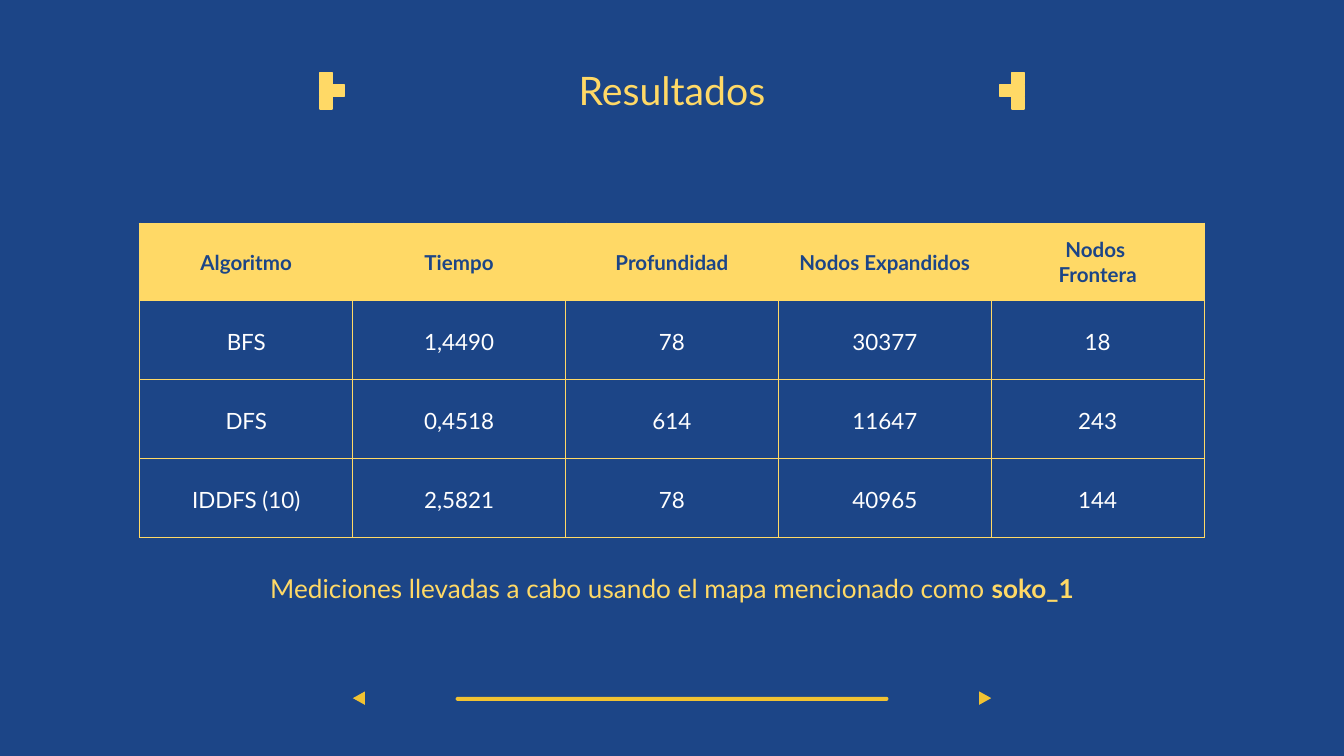
from dataclasses import dataclass

from lxml.etree import SubElement
from pptx import Presentation
from pptx.dml.color import RGBColor
from pptx.enum.shapes import MSO_SHAPE
from pptx.enum.text import MSO_ANCHOR, PP_ALIGN
from pptx.oxml.ns import qn
from pptx.util import Inches, Pt


@dataclass(frozen=True)
class Theme:
    font: str = "Lato"
    blue: str = "1C4587"
    gold: str = "FFD966"
    amber: str = "F1C232"
    white: str = "FFFFFF"
    title: int = 21
    note: int = 14
    head: int = 11
    body: int = 12
    thin: float = 0.75
    thick: float = 1.5


THEME = Theme()
WIDE = 10
HIGH = WIDE * 9 / 16
LEFT, SPAN = 10.4, 79.2
HEAD = ["Algoritmo", "Tiempo", "Profundidad", "Nodos Expandidos", "Nodos \nFrontera"]
ROWS = [
    ["BFS", "1,4490", "78", "30377", "18"],
    ["DFS", "0,4518", "614", "11647", "243"],
    ["IDDFS (10)", "2,5821", "78", "40965", "144"],
]


def share(part):
    return Inches(WIDE * part / 100)


def place(left, top, width, height):
    return [share(part) for part in (left, top, width, height)]


def paint(fill, color):
    fill.solid()
    fill.fore_color.rgb = RGBColor.from_string(color)


def write(frame, text, size, color, bold=False, tail="", space=None, after=None):
    for row, line in enumerate(text.split("\n")):
        para = frame.add_paragraph() if row else frame.paragraphs[0]
        para.alignment = PP_ALIGN.CENTER
        para.line_spacing = space
        para.space_after = after
        parts = [(line, bold), (tail, True)] if tail else [(line, bold)]
        for words, strong in parts:
            run = para.add_run()
            run.text = words
            run.font.name = THEME.font
            run.font.size = Pt(size)
            run.font.bold = strong
            run.font.color.rgb = RGBColor.from_string(color)


def inset(box, across, down, anchor):
    box.margin_left = box.margin_right = Inches(across)
    box.margin_top = box.margin_bottom = Inches(down)
    box.vertical_anchor = anchor


def border(cell, sides):
    props = cell._tc.get_or_add_tcPr()
    for side, width in sides.items():
        line = SubElement(props, qn(f"a:ln{side}"), w=str(Pt(width)))
        fill = SubElement(line, qn("a:solidFill"))
        SubElement(fill, qn("a:srgbClr"), val=THEME.gold)


def add_title(slide):
    title = slide.shapes.title
    title.left, title.top, title.width, title.height = place(3.4, 3.2, 93.2, 6.25)
    frame = title.text_frame
    frame.word_wrap = True
    inset(frame, 0.1, 0.1, MSO_ANCHOR.BOTTOM)
    write(frame, "Resultados", THEME.title, THEME.gold)


def add_grid(slide):
    count = len(HEAD)
    area = place(LEFT, 16.65, SPAN, 23.3)
    table = slide.shapes.add_table(len(ROWS) + 1, count, *area).table
    table.horz_banding = False
    table.first_row = False
    for col in table.columns:
        col.width = share(SPAN / count)
    for num, row in enumerate(table.rows):
        row.height = share(5.88 if num else 5.65)
    for num, texts in enumerate([HEAD] + ROWS):
        for col, text in enumerate(texts):
            cell = table.cell(num, col)
            edge = THEME.thin if num else THEME.thick
            top = THEME.thin if num == 1 else edge
            border(cell, {"L": edge, "R": edge, "T": top, "B": THEME.thin})
            if num:
                inset(cell, 0.03, 0.02, MSO_ANCHOR.MIDDLE)
                write(cell.text_frame, text, THEME.body, THEME.white, space=1.15)
                cell.fill.background()
            else:
                inset(cell, 0.1, 0.1, MSO_ANCHOR.MIDDLE)
                write(cell.text_frame, text, THEME.head, THEME.blue, bold=True)
                paint(cell.fill, THEME.gold)


def add_shape(slide, kind, area, turn):
    shape = slide.shapes.add_shape(kind, *place(*area))
    shape.rotation = turn
    shape.shadow.inherit = False
    shape.adjustments[0] = 0.5
    paint(shape.fill, THEME.amber)
    shape.line.fill.background()


def add_mark(slide, left, step):
    size = 0.9
    group = slide.shapes.add_group_shape()
    for col, row in [(0, 0), (0, 1), (0, 2), (1, 1)]:
        x, y = left + step * col * size, 5.4 + row * size
        pen = group.shapes.build_freeform(share(x), share(y))
        corners = [(x + size, y), (x + size, y + size), (x, y + size)]
        pen.add_line_segments([(share(a), share(b)) for a, b in corners])
        tile = pen.convert_to_shape()
        tile.shadow.inherit = False
        paint(tile.fill, THEME.gold)
        paint(tile.line.fill, THEME.gold)
        tile.line.width = Pt(THEME.thin)


def add_note(slide):
    frame = slide.shapes.add_textbox(*place(LEFT, 41.25, SPAN, 4.2)).text_frame
    frame.word_wrap = True
    inset(frame, 0.1, 0.1, MSO_ANCHOR.TOP)
    text = "Mediciones llevadas a cabo usando el mapa mencionado como"
    write(frame, text, THEME.note, THEME.gold, tail=" soko_1", space=1.15, after=Pt(16))


def main():
    deck = Presentation()
    deck.slide_width, deck.slide_height = Inches(WIDE), Inches(HIGH)
    slide = deck.slides.add_slide(deck.slide_layouts[5])
    paint(slide.background.fill, THEME.blue)
    add_title(slide)
    add_grid(slide)
    add_shape(slide, MSO_SHAPE.ROUNDED_RECTANGLE, (49.85, 35.9, 0.3, 32.2), 270)
    for left, turn in [(26.2, 270), (72.8, 90)]:
        add_shape(slide, MSO_SHAPE.ISOSCELES_TRIANGLE, (left, 51.5, 1, 0.9), turn)
    for left, step in [(23.8, 1), (75.3, -1)]:
        add_mark(slide, left, step)
    add_note(slide)
    deck.save("out.pptx")


if __name__ == "__main__":
    main()
